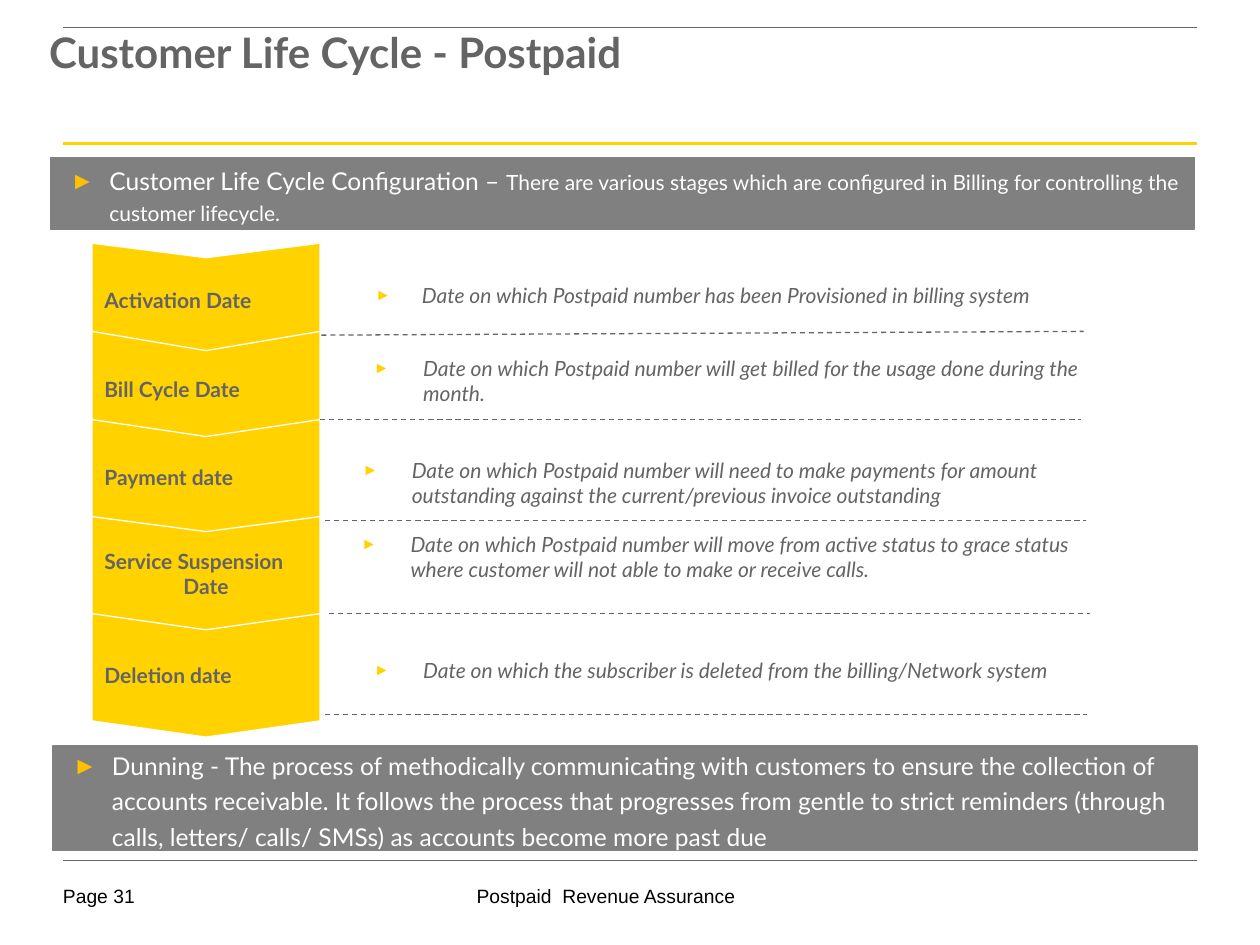
import pptx
import pptx.util
import pptx.dml.color
import pptx.enum.dml
import pptx.enum.shapes
import pptx.enum.text
import pptx.oxml
import pptx.oxml.ns
from dataclasses import dataclass

Inches, Pt = pptx.util.Inches, pptx.util.Pt
RGB = pptx.dml.color.RGBColor.from_string
ALIGN = pptx.enum.text.PP_ALIGN
ANCHOR = pptx.enum.text.MSO_ANCHOR
SHAPE = pptx.enum.shapes.MSO_SHAPE
DASH = pptx.enum.dml.MSO_LINE.DASH


@dataclass(frozen=True)
class Theme:
    yellow: str = "FFD200"
    amber: str = "FFC000"
    dark: str = "646464"
    gray: str = "808080"
    white: str = "FFFFFF"
    black: str = "000000"
    font: str = "Lato"
    plain: str = "Arial"
    title: int = 24
    lead: int = 14
    body: int = 12
    foot: int = 11


theme = Theme()

deck = pptx.Presentation()
deck.slide_width, deck.slide_height = Inches(10), Inches(7.5)
slide = deck.slides.add_slide(deck.slide_layouts[5])
shapes = slide.shapes


def style(para, size, color, font=theme.font, bullet=None, left=0, hang=0, scale=100):
    """Format the runs of a paragraph, with a hanging arrow bullet if a colour is given."""
    if bullet:
        props = para._p.get_or_add_pPr()
        props.set("marL", str(Inches(left)))
        props.set("indent", str(-Inches(hang)))
        space = pptx.oxml.ns.nsdecls("a")
        for xml in (
            f'<a:buClr {space}><a:srgbClr val="{bullet}"/></a:buClr>',
            f'<a:buSzPct {space} val="{scale * 1000}"/>',
            f'<a:buFont {space} typeface="Arial"/>',
            f'<a:buChar {space} char="►"/>',
        ):
            props.append(pptx.oxml.parse_xml(xml))
    for run in para.runs:
        run.font.name, run.font.size = font, Pt(size)
        run.font.color.rgb = RGB(color)


def rule(x1, y1, x2, y2, color, width, dash=None):
    """Draw a straight line without a shadow."""
    line = shapes.add_connector(
        pptx.enum.shapes.MSO_CONNECTOR.STRAIGHT,
        Inches(x1), Inches(y1), Inches(x2), Inches(y2))
    line.line.color.rgb = RGB(color)
    line.line.width = Pt(width)
    if dash:
        line.line.dash_style = dash
    line._element.spPr.append(pptx.oxml.parse_xml(
        f'<a:effectLst {pptx.oxml.ns.nsdecls("a")}/>'))


# Page rules
for y, color, width in ((0.22, theme.dark, 0.5), (1.14, theme.yellow, 1.5),
                        (6.83, theme.dark, 0.25)):
    rule(0.5, y, 9.5, y, color, width)

# Footer
for text, x, w, align in (("Page 31", 0.5, 0.73, ALIGN.LEFT),
                          ("Postpaid  Revenue Assurance", 2.75, 4.12, ALIGN.CENTER)):
    frame = shapes.add_textbox(Inches(x), Inches(7.02), Inches(w), Inches(0.23)).text_frame
    frame.margin_left = frame.margin_right = frame.margin_top = frame.margin_bottom = 0
    frame.word_wrap = True
    frame.text = text
    frame.paragraphs[0].alignment = align
    style(frame.paragraphs[0], theme.foot, theme.black, theme.plain)

# Title
title = shapes.title
title.left, title.top = Inches(0.29), Inches(0.22)
title.width, title.height = Inches(9.5), Inches(0.94)
frame = title.text_frame
frame.text = "Customer Life Cycle - Postpaid"
frame.vertical_anchor = ANCHOR.TOP
frame.auto_size = pptx.enum.text.MSO_AUTO_SIZE.NONE
para = frame.paragraphs[0]
para.alignment, para.line_spacing = ALIGN.LEFT, 0.85
style(para, theme.title, theme.dark)
para.runs[0].font.bold = True

# Stages: label, top, height and notch of the chevron
stages = (
    ("Activation Date", 1.93, 0.91, 0.127),
    ("Bill Cycle Date", 2.63, 0.91, 0.168),
    ("Payment date", 3.33, 0.91, 0.148),
    ("Service Suspension\nDate", 4.1, 0.91, 0.131),
    ("Deletion date", 4.87, 0.98, 0.131),
)
span, middle = 1.81, 1.635
for label, top, high, notch in stages:
    # A quarter turn points the chevron down; the text is turned back upright
    stage = shapes.add_shape(
        SHAPE.CHEVRON, Inches(middle - high / 2), Inches(top + high / 2 - span / 2),
        Inches(high), Inches(span))
    stage.rotation = 90
    stage.adjustments[0] = notch
    stage.shadow.inherit = False
    stage.fill.solid()
    stage.fill.fore_color.rgb = RGB(theme.yellow)
    stage.line.color.rgb = RGB(theme.white)
    stage.line.width = Pt(0.75)
    frame = stage.text_frame
    frame._txBody.bodyPr.set("vert", "vert270")
    frame.vertical_anchor = ANCHOR.MIDDLE
    frame.word_wrap = True
    frame.text = label
    for i, para in enumerate(frame.paragraphs):
        para.alignment = ALIGN.CENTER if i else ALIGN.LEFT
        style(para, theme.body, theme.dark)
        para.runs[0].font.bold = True

# Notes: text, box left, top and width, indent and hang, then the divider below
notes = (
    ("Date on which Postpaid number has been Provisioned in billing system",
     2.31, 2.19, 6.59, 0.94, 0.37, (2.55, 2.66, 8.6, 2.63)),
    ("Date on which Postpaid number will get billed for the usage done during the month.",
     2.46, 2.77, 6.42, 0.8, 0.39, (2.54, 3.33, 8.58, 3.33)),
    ("Date on which Postpaid number will need to make payments for amount "
     "outstanding against the current/previous invoice outstanding",
     2.37, 3.58, 6.42, 0.8, 0.39, (2.58, 4.13, 8.62, 4.13)),
    ("Date on which Postpaid number will move from active status to grace status "
     "where customer will not able to make or receive calls.",
     2.36, 4.17, 6.42, 0.8, 0.39, (2.61, 4.87, 8.65, 4.87)),
    ("Date on which the subscriber is deleted from the billing/Network system",
     2.37, 5.17, 6.42, 0.89, 0.39, (2.58, 5.67, 8.63, 5.67)),
)
for text, x, y, w, left, hang, ends in notes:
    frame = shapes.add_textbox(Inches(x), Inches(y), Inches(w), Inches(0.5)).text_frame
    frame.word_wrap = True
    frame.text = text
    para = frame.paragraphs[0]
    style(para, theme.body, theme.dark, bullet=theme.yellow, left=left, hang=hang, scale=75)
    para.runs[0].font.italic = True
    rule(*ends, theme.dark, 0.75, DASH.DASH)

# Banners: lead text, smaller text, left, top and height
banners = (
    ("Customer Life Cycle Configuration – ",
     "There are various stages which are configured in Billing for controlling "
     "the customer lifecycle.", 0.4, 1.25, 0.57),
    ("Dunning - The process of methodically communicating with customers to ensure "
     "the collection of accounts receivable. It follows the process that progresses "
     "from gentle to strict reminders (through calls, letters/ calls/ SMSs) as "
     "accounts become more past due", "", 0.42, 5.92, 0.83),
)
for lead, more, x, y, h in banners:
    banner = shapes.add_shape(SHAPE.RECTANGLE, Inches(x), Inches(y), Inches(9.08), Inches(h))
    banner.shadow.inherit = False
    banner.fill.solid()
    banner.fill.fore_color.rgb = RGB(theme.gray)
    banner.line.color.rgb = RGB(theme.gray)
    banner.line.width = Pt(1)
    frame = banner.text_frame
    frame.word_wrap = True
    frame.vertical_anchor = ANCHOR.MIDDLE
    frame.text = lead
    para = frame.paragraphs[0]
    if more:
        para.add_run().text = more
    para.alignment = ALIGN.LEFT
    style(para, theme.lead, theme.white, bullet=theme.amber, left=0.37, hang=0.31)
    para.line_spacing = 1.2
    for run in para.runs[1:]:
        run.font.size = Pt(theme.body)

deck.save("out.pptx")
